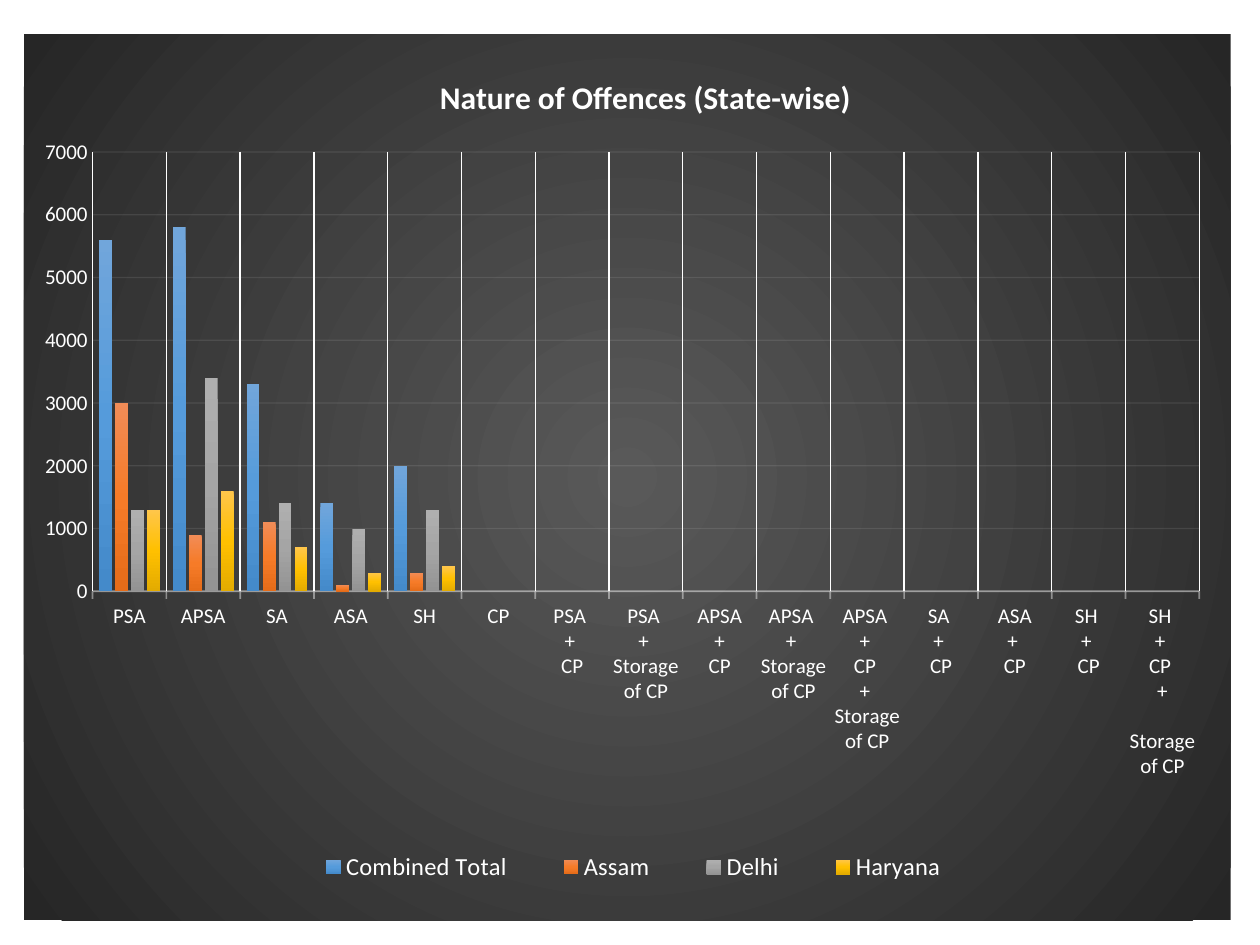
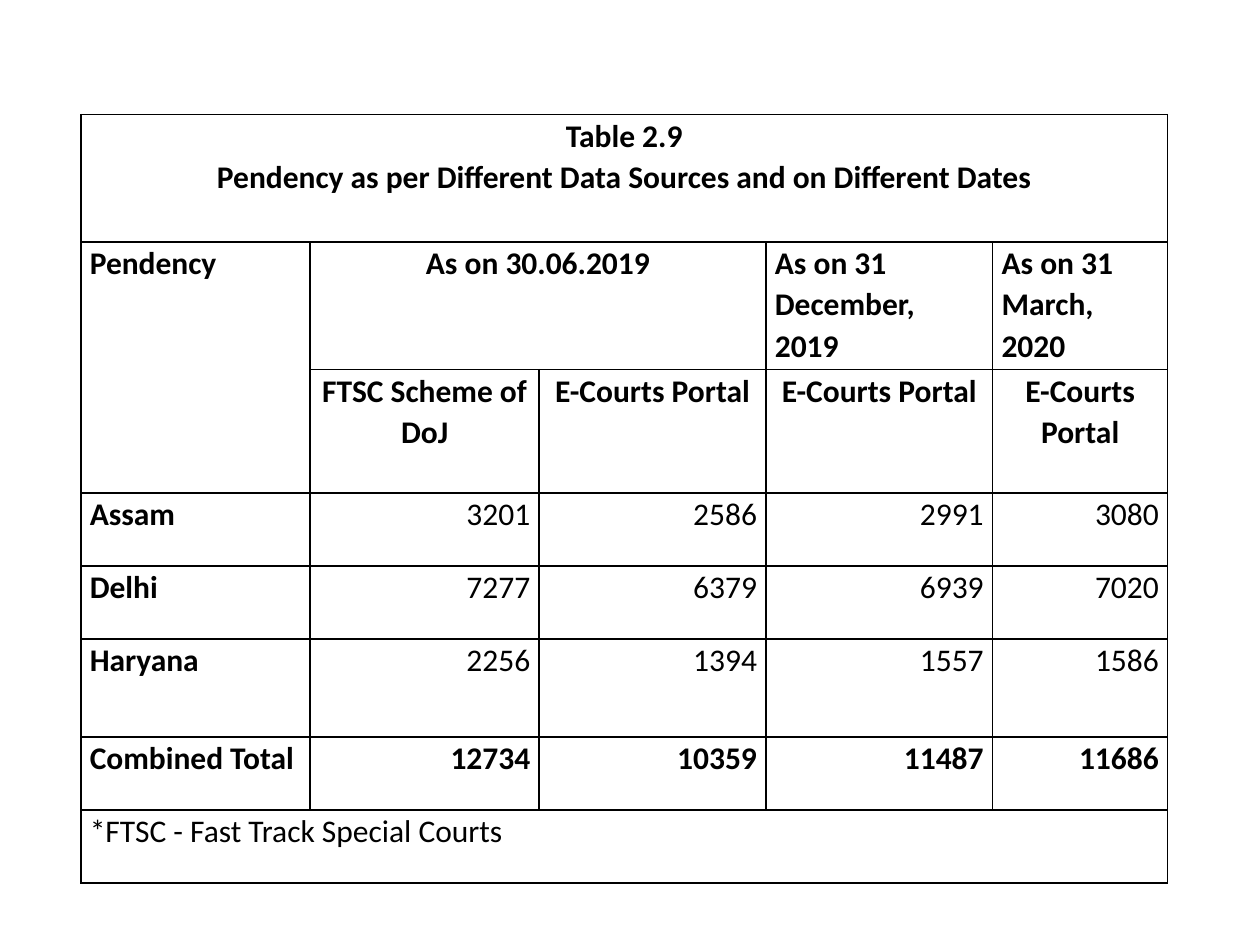
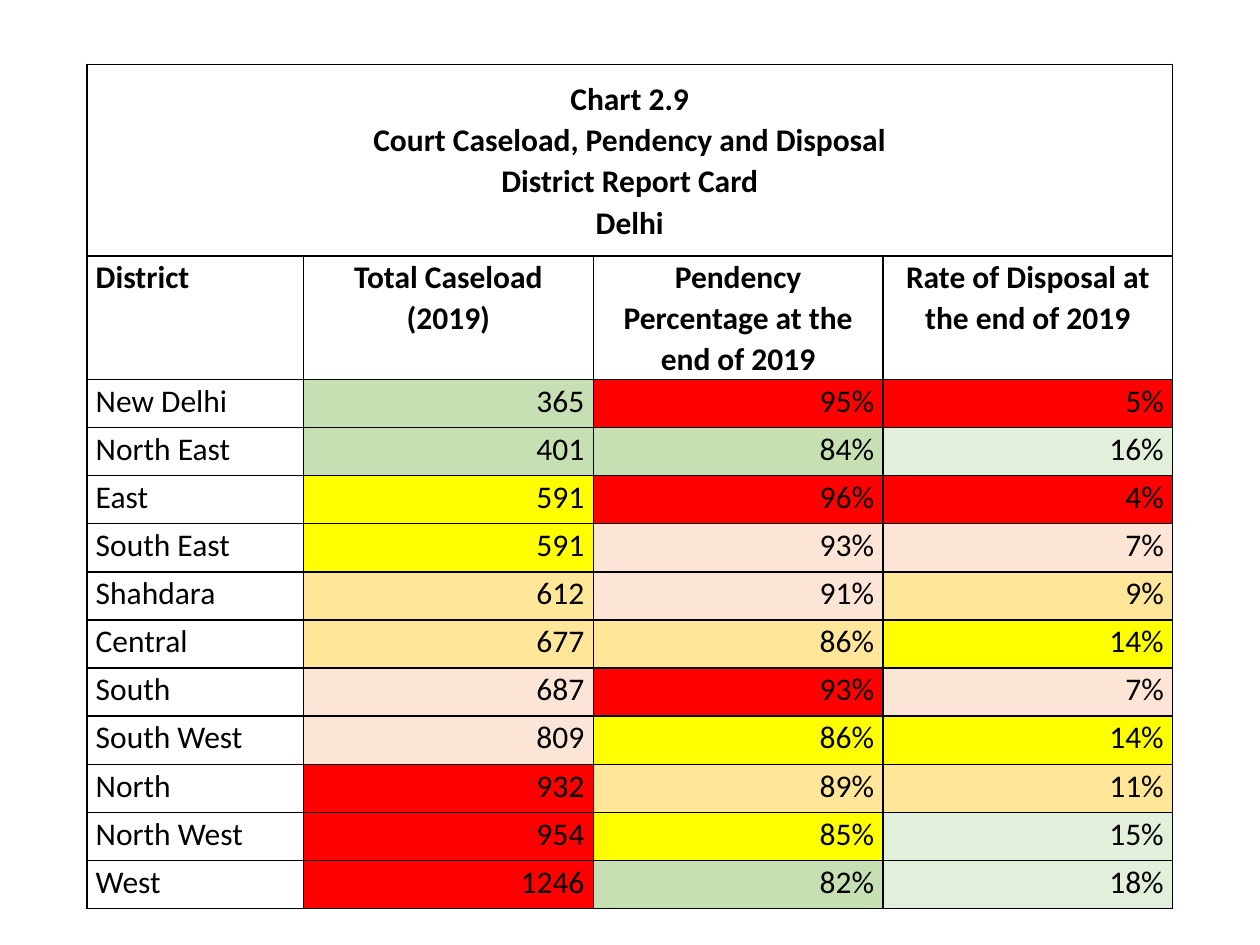
from lxml import etree
from pptx import Presentation
from pptx.chart.data import CategoryChartData
from pptx.dml.color import RGBColor
from pptx.enum.chart import XL_CHART_TYPE, XL_LEGEND_POSITION, XL_TICK_LABEL_POSITION, XL_TICK_MARK
from pptx.enum.text import MSO_ANCHOR, PP_ALIGN
from pptx.oxml import parse_xml
from pptx.oxml.ns import nsdecls, qn
from pptx.util import Cm, Pt

LEFT, CENTER, RIGHT = PP_ALIGN.LEFT, PP_ALIGN.CENTER, PP_ALIGN.RIGHT
JUSTIFY = PP_ALIGN.JUSTIFY
TOP, MIDDLE = MSO_ANCHOR.TOP, MSO_ANCHOR.MIDDLE
COLUMNS = XL_CHART_TYPE.COLUMN_CLUSTERED
LEGEND_BOTTOM = XL_LEGEND_POSITION.BOTTOM
LABELS_LOW = XL_TICK_LABEL_POSITION.LOW
TICK_NONE, TICK_OUT = XL_TICK_MARK.NONE, XL_TICK_MARK.OUTSIDE

FONT = "Calibri"
BLACK = RGBColor(0x00, 0x00, 0x00)
WHITE = RGBColor(0xFF, 0xFF, 0xFF)
PALE_GREY = RGBColor(0xF2, 0xF2, 0xF2)
GREEN = RGBColor(0xC6, 0xE0, 0xB4)
PALE_GREEN = RGBColor(0xE2, 0xEF, 0xDA)
YELLOW = RGBColor(0xFF, 0xFF, 0x00)
AMBER = RGBColor(0xFF, 0xE6, 0x99)
PINK = RGBColor(0xFC, 0xE4, 0xD6)
RED = RGBColor(0xFF, 0x00, 0x00)

BACKDROP_STOPS = [(0, RGBColor(0x59, 0x59, 0x59)), (100, RGBColor(0x26, 0x26, 0x26))]
RADIAL = '<a:path path="circle"><a:fillToRect l="50000" t="50000" r="50000" b="50000"/></a:path>'
DOWNWARD = '<a:lin ang="5400000" scaled="0"/>'

OFFENCES = [
    "PSA", "APSA", "SA", "ASA", "SH", "CP", "PSA \n+ \nCP", "PSA \n+ \nStorage of CP",
    "APSA\n + \nCP", "APSA \n+ \nStorage of CP", "APSA \n+ \nCP \n+ \nStorage of CP",
    "SA \n+ \nCP", "ASA\n+ \nCP", "SH \n+ \nCP", "SH \n+ \nCP \n+\n Storage of CP",
]
# State, counts for the first five offences (the others are 0), bar gradient
STATES = [
    ("Combined Total", [5600, 5800, 3300, 1400, 2000], ("71A6DB", "559BDB", "448ACA")),
    ("Assam", [3000, 900, 1100, 100, 300], ("F18C57", "F67B28", "E56C19")),
    ("Delhi", [1300, 3400, 1400, 1000, 1300], ("AFAFAF", "A5A5A5", "939393")),
    ("Haryana", [1300, 1600, 700, 300, 400], ("FFC64B", "FFC000", "E3AB00")),
]

PENDENCY_TITLE = "Table 2.9\nPendency as per Different Data Sources and on Different Dates"
PENDENCY_DATES = ["Pendency", "As on 30.06.2019", "", "As on 31 December, 2019", "As on 31 March, 2020"]
PENDENCY_SOURCES = ["", "FTSC Scheme of DoJ"] + ["E-Courts Portal"] * 3
PENDENCY = [
    ("Assam", 3201, 2586, 2991, 3080),
    ("Delhi", 7277, 6379, 6939, 7020),
    ("Haryana", 2256, 1394, 1557, 1586),
    ("Combined Total", 12734, 10359, 11487, 11686),
]

REPORT_TITLE = "Chart 2.9\nCourt Caseload, Pendency and Disposal\nDistrict Report Card\nDelhi"
REPORT_HEADS = ["District", "Total Caseload (2019)", "Pendency Percentage at the end of 2019",
                "Rate of Disposal at the end of 2019"]
REPORT = [
    ("New Delhi", ("365", GREEN), ("95%", RED), ("5%", RED)),
    ("North East", ("401", GREEN), ("84%", GREEN), ("16%", PALE_GREEN)),
    ("East", ("591", YELLOW), ("96%", RED), ("4%", RED)),
    ("South East", ("591", YELLOW), ("93%", PINK), ("7%", PINK)),
    ("Shahdara", ("612", AMBER), ("91%", PINK), ("9%", AMBER)),
    ("Central", ("677", AMBER), ("86%", AMBER), ("14%", YELLOW)),
    ("South", ("687", PINK), ("93%", RED), ("7%", PINK)),
    ("South West", ("809", PINK), ("86%", YELLOW), ("14%", YELLOW)),
    ("North", ("932", RED), ("89%", AMBER), ("11%", AMBER)),
    ("North West", ("954", RED), ("85%", YELLOW), ("15%", PALE_GREEN)),
    ("West", ("1246", RED), ("82%", GREEN), ("18%", PALE_GREEN)),
]


def set_font(font, size, color, bold=False):
    font.name, font.size, font.bold = FONT, Pt(size), bold
    font.color.rgb = color


def set_line(line, color, width, opacity=None):
    line.width = Pt(width)
    line.color.rgb = color
    if opacity is not None:
        clr = line._get_or_add_ln().find(".//" + qn("a:srgbClr"))
        etree.SubElement(clr, qn("a:alpha"), val=str(opacity * 1000))


def gradient_xml(stops, direction):
    gs = "".join(f'<a:gs pos="{pos * 1000}"><a:srgbClr val="{color}"/></a:gs>' for pos, color in stops)
    return f'<a:gradFill {nsdecls("a")} rotWithShape="1"><a:gsLst>{gs}</a:gsLst>{direction}</a:gradFill>'


def set_layout(parent, index, target=None, **fractions):
    """Place a chart part by fractions of the chart's size."""
    for old in parent.findall(qn("c:layout")):
        parent.remove(old)
    layout = etree.Element(qn("c:layout"))
    manual = etree.SubElement(layout, qn("c:manualLayout"))
    if target:
        etree.SubElement(manual, qn("c:layoutTarget"), val=target)
    for side in ("x", "y"):
        etree.SubElement(manual, qn(f"c:{side}Mode"), val="edge")
    for side, value in fractions.items():
        etree.SubElement(manual, qn(f"c:{side}"), val=str(value))
    parent.insert(index, layout)


def style_axes(chart):
    cat, val = chart.category_axis, chart.value_axis
    for axis in (cat, val):
        axis.has_major_gridlines = True
        axis.minor_tick_mark = TICK_NONE
        set_font(axis.tick_labels.font, 12, WHITE)
    cat.major_tick_mark = TICK_OUT
    cat.tick_label_position = LABELS_LOW
    set_line(cat.format.line, WHITE, 1, 44)
    set_line(cat.major_gridlines.format.line, WHITE, 0.75)
    val.major_tick_mark = TICK_NONE
    val.minimum_scale, val.maximum_scale, val.major_unit = 0, 7000, 1000
    val.format.line.fill.background()
    set_line(val.major_gridlines.format.line, PALE_GREY, 0.75, 10)


def add_offence_chart(slide):
    data = CategoryChartData(number_format="General")
    data.categories = OFFENCES
    for state, counts, _ in STATES:
        data.add_series(state, counts + [0] * (len(OFFENCES) - len(counts)))
    chart = slide.shapes.add_chart(COLUMNS, Cm(0.48), Cm(0.69), Cm(24.33), Cm(17.86), data).chart
    set_font(chart.font, 10, BLACK)

    chart.has_title = True
    tf = chart.chart_title.text_frame
    tf.text = "Nature of Offences (State-wise)"
    set_font(tf.paragraphs[0].runs[0].font, 18, WHITE, True)
    set_layout(chart.chart_title._element, 1, x=0.34, y=0.04)

    chart.has_legend = True
    chart.legend.position = LEGEND_BOTTOM
    chart.legend.include_in_layout = False
    set_font(chart.legend.font, 14, WHITE)
    set_layout(chart.legend._element, 1, x=0.21, y=0.91, w=0.59, h=0.06)

    style_axes(chart)
    plot = chart.plots[0]
    plot.gap_width, plot.overlap = 100, -24
    plot.vary_by_categories = False
    for series, (_, _, colors) in zip(plot.series, STATES):
        bar = series._element.get_or_add_spPr()
        bar.append(parse_xml(gradient_xml(zip((0, 50, 100), colors), DOWNWARD)))

    root = chart._chartSpace
    set_layout(root.chart.plotArea, 0, "inner", x=0.057, y=0.133, w=0.917, h=0.496)
    backdrop = gradient_xml(BACKDROP_STOPS, RADIAL)
    root.chart.addnext(parse_xml(
        f'<c:spPr {nsdecls("c", "a")}>{backdrop}<a:ln><a:noFill/></a:ln></c:spPr>'))


def set_borders(cell):
    tc_pr = cell._tc.get_or_add_tcPr()
    for side in "LRTB":
        tc_pr.append(parse_xml(
            f'<a:ln{side} {nsdecls("a")} w="12700"><a:solidFill><a:srgbClr val="{BLACK}"/>'
            f'</a:solidFill></a:ln{side}>'))


def add_grid(slide, left, top, widths, heights):
    """Add a table of unfilled cells with black borders."""
    table = slide.shapes.add_table(len(heights), len(widths), Cm(left), Cm(top),
                                   Cm(sum(widths)), Cm(sum(heights))).table
    table.first_row = table.horz_banding = False
    for column, width in zip(table.columns, widths):
        column.width = Cm(width)
    for row, height in zip(table.rows, heights):
        row.height = Cm(height)
    for cell in table.iter_cells():
        cell.margin_left = cell.margin_right = Cm(0.18)
        cell.margin_top = cell.margin_bottom = 0
        set_borders(cell)
        cell.fill.background()
    return table


def write(cell, text, align=LEFT, bold=False, fill=None, anchor=TOP):
    cell.text_frame.text = text
    cell.vertical_anchor = anchor
    for p in cell.text_frame.paragraphs:
        p.alignment, p.line_spacing = align, 1.07
        for r in p.runs:
            set_font(r.font, 18, BLACK, bold)
    if fill is not None:
        cell.fill.solid()
        cell.fill.fore_color.rgb = fill


def merge(table, first, last):
    table.cell(*first).merge(table.cell(*last))


def add_pendency_table(slide):
    table = add_grid(slide, 1.63, 2.31, [4.62, 4.62, 4.57, 4.57, 3.53],
                     [2.57, 2.57, 2.49, 1.47, 1.47, 1.98, 1.47, 1.47])
    for first, last in [((0, 0), (0, 4)), ((1, 0), (2, 0)), ((1, 1), (1, 2)), ((7, 0), (7, 4))]:
        merge(table, first, last)
    write(table.cell(0, 0), PENDENCY_TITLE, CENTER, True)
    for row, heads in enumerate((PENDENCY_DATES, PENDENCY_SOURCES), start=1):
        for col, head in enumerate(heads):
            if head:
                centred = row == 2 or col == 1
                write(table.cell(row, col), head, CENTER if centred else LEFT, True)
    for row, (state, *counts) in enumerate(PENDENCY, start=3):
        write(table.cell(row, 0), state, bold=True)
        for col, count in enumerate(counts, start=1):
            write(table.cell(row, col), str(count), RIGHT, state == "Combined Total")
    write(table.cell(7, 0), "*FTSC - Fast Track Special Courts", JUSTIFY)


def add_report_card(slide):
    table = add_grid(slide, 1.75, 1.3, [4.37] + [5.84] * 3, [3.86, 2.18] + [0.97] * len(REPORT))
    merge(table, (0, 0), (0, 3))
    write(table.cell(0, 0), REPORT_TITLE, CENTER, True, anchor=MIDDLE)
    for col, head in enumerate(REPORT_HEADS):
        write(table.cell(1, col), head, CENTER if col else LEFT, True)
    for row, (district, *figures) in enumerate(REPORT, start=2):
        write(table.cell(row, 0), district)
        for col, (figure, rating) in enumerate(figures, start=1):
            write(table.cell(row, col), figure, RIGHT, fill=rating)


def main():
    prs = Presentation()
    prs.slide_width, prs.slide_height = Cm(25.4), Cm(19.05)
    for build in (add_offence_chart, add_pendency_table, add_report_card):
        build(prs.slides.add_slide(prs.slide_layouts[6]))
    prs.save("out.pptx")


if __name__ == "__main__":
    main()
